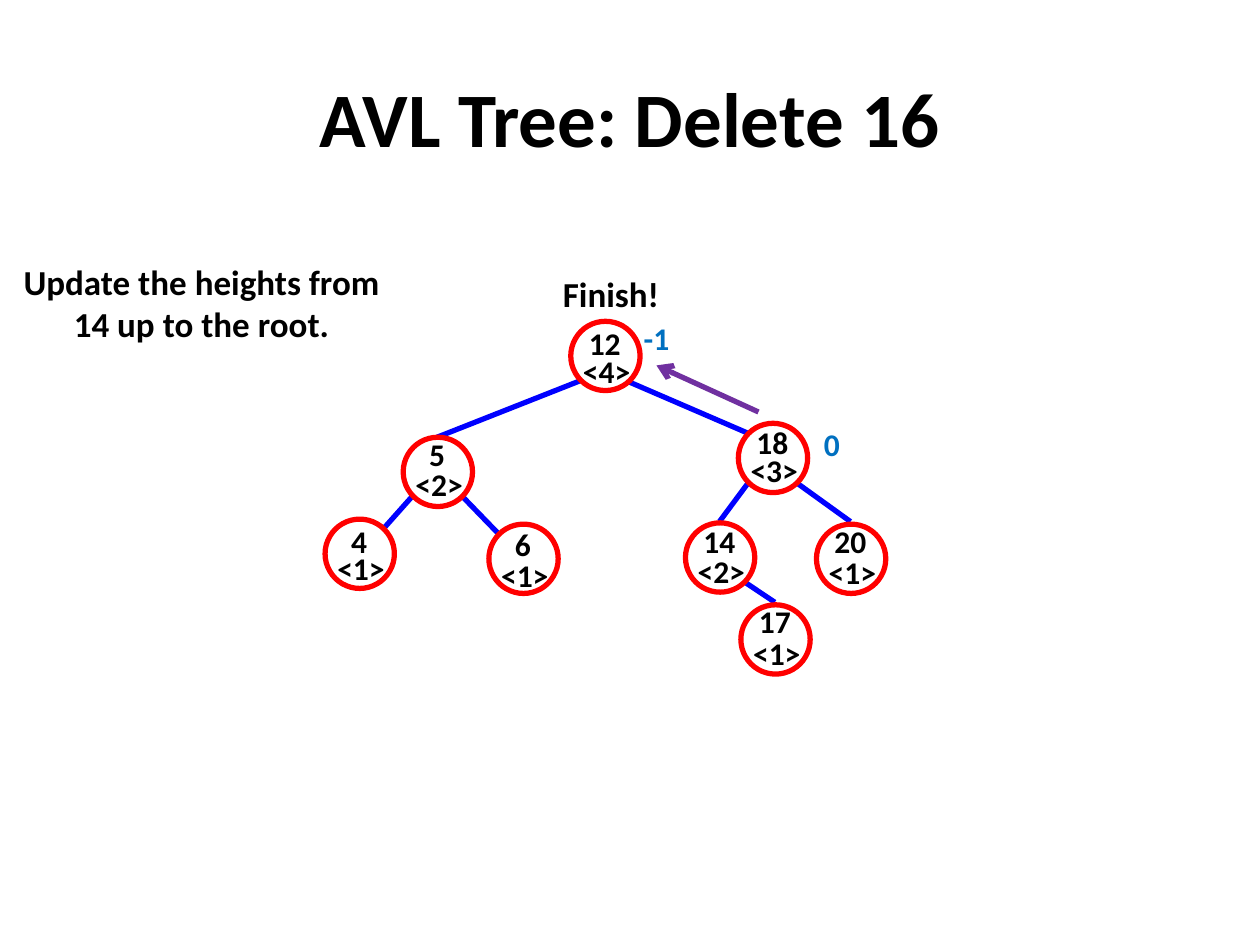
import pptx
import pptx.util
import pptx.dml.color
import pptx.enum.shapes
import pptx.enum.text
import pptx.oxml
from pptx.util import Inches

RGB = pptx.dml.color.RGBColor
BLACK = RGB(0, 0, 0)
WHITE = RGB(255, 255, 255)
RED = RGB(255, 0, 0)
BLUE = RGB(0, 0, 255)
SKY = RGB(0, 0x70, 0xC0)
PURPLE = RGB(0x70, 0x30, 0xA0)

ALIGN = pptx.enum.text.PP_ALIGN
ANCHOR = pptx.enum.text.MSO_ANCHOR
FIT = pptx.enum.text.MSO_AUTO_SIZE
FONT = "Calibri"
SIZE = 0.55  # node diameter
PAD = (0.1, 0.15)  # side and top insets of free-standing text

# key, height, node left, node top, key top, height top
NODES = [
    (12, 4, 4.53, 2.55, 2.57, 2.79),
    (5, 2, 3.2, 3.47, 3.45, 3.69),
    (18, 3, 5.86, 3.36, 3.36, 3.58),
    (4, 1, 2.58, 4.12, 4.14, 4.36),
    (6, 1, 3.88, 4.16, 4.17, 4.41),
    (14, 2, 5.44, 4.15, 4.14, 4.38),
    (20, 1, 6.48, 4.16, 4.14, 4.39),
    (17, 1, 5.88, 4.8, 4.78, 5.03),
]

# start x, start y, end x, end y
EDGES = [
    (4.61, 3.02, 3.47, 3.47),
    (4.99, 3.03, 5.94, 3.44),
    (3.28, 3.93, 3.04, 4.2),
    (3.66, 3.93, 3.96, 4.24),
    (5.94, 3.83, 5.71, 4.14),
    (6.32, 3.83, 6.75, 4.14),
    (5.91, 4.62, 6.15, 4.78),
]


def add_text(slide, text, box, size, color=BLACK, align=ALIGN.CENTER,
             pad=PAD, fit=FIT.SHAPE_TO_FIT_TEXT):
    shape = slide.shapes.add_textbox(*map(Inches, box))
    frame = shape.text_frame
    frame.text = text
    frame.word_wrap = True
    frame.auto_size = fit
    frame.margin_left = frame.margin_right = Inches(pad[0])
    frame.margin_top = frame.margin_bottom = Inches(pad[1])
    line = frame.paragraphs[0]
    line.alignment = align
    font = line.runs[0].font
    font.name = FONT
    font.size = pptx.util.Pt(size)
    font.bold = True
    font.color.rgb = color
    return shape


def add_line(slide, ends, color, arrow=False):
    line = slide.shapes.add_connector(
        pptx.enum.shapes.MSO_CONNECTOR.STRAIGHT, *map(Inches, ends))
    line.line.color.rgb = color
    line.line.width = pptx.util.Pt(3)
    if arrow:
        tail = pptx.oxml.xmlchemy.OxmlElement("a:tailEnd")
        tail.set("type", "arrow")
        line.line._get_or_add_ln().append(tail)
    props = line._element.spPr
    props.append(pptx.oxml.xmlchemy.OxmlElement("a:effectLst"))


def add_node(slide, key, height, left, top, key_top, height_top):
    """Draw a circle with its key above its height."""
    node = slide.shapes.add_shape(
        pptx.enum.shapes.MSO_SHAPE.OVAL,
        *map(Inches, (left, top, SIZE, SIZE)))
    node.shadow.inherit = False
    node.fill.solid()
    node.fill.fore_color.rgb = WHITE
    node.line.color.rgb = RED
    node.line.width = pptx.util.Pt(3)
    add_text(slide, str(key), (left + 0.1, key_top, 0.34, 0.3), 18,
             pad=(0, 0))
    add_text(slide, f"<{height}>", (left + 0.02, height_top, 0.53, 0.3), 18,
             pad=(0, 0))


def main():
    deck = pptx.Presentation()
    deck.slide_width = Inches(10)
    deck.slide_height = Inches(7.5)
    slide = deck.slides.add_slide(deck.slide_layouts[6])

    title = add_text(slide, "AVL Tree: Delete 16", (0.5, 0.3, 9, 1.25), 44,
                     pad=(0.1, 0.05), fit=FIT.NONE)
    title.text_frame.vertical_anchor = ANCHOR.MIDDLE

    for edge in EDGES:
        add_line(slide, edge, BLUE)
    for node in NODES:
        add_node(slide, *node)

    add_text(slide, "Update the heights from 14 up to the root.",
             (0.01, 1.92, 3.18, 0.98), 20)
    add_text(slide, "Finish!", (3.26, 2.01, 3.18, 0.64), 20)
    for text, left, top in (("0", 6.44, 3.22), ("-1", 5.01, 2.38)):
        add_text(slide, text, (left, top, 0.55, 0.61), 18, SKY, ALIGN.LEFT)
    add_line(slide, (6.02, 3.27, 5.21, 2.9), PURPLE, arrow=True)

    deck.save("out.pptx")


if __name__ == "__main__":
    main()
